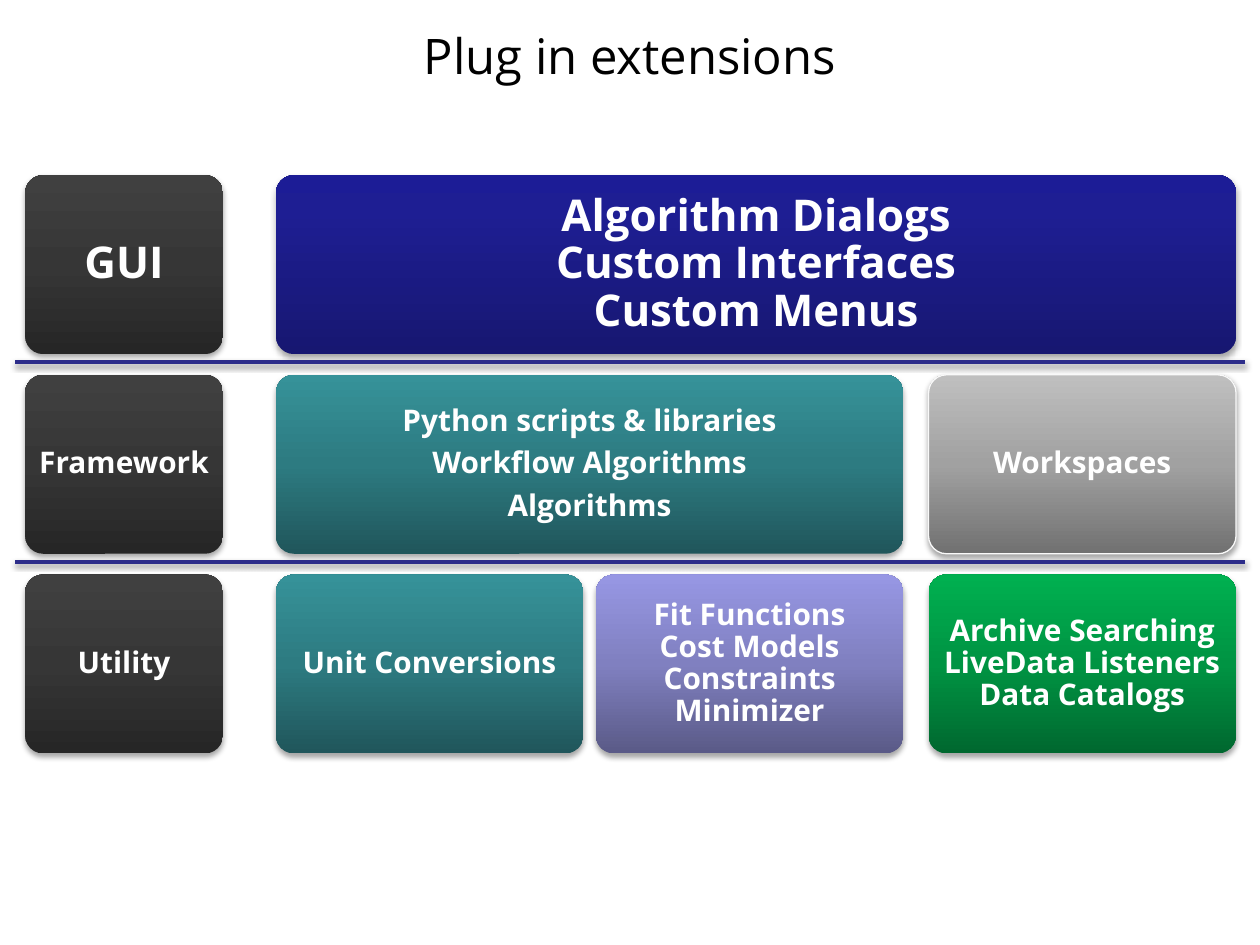
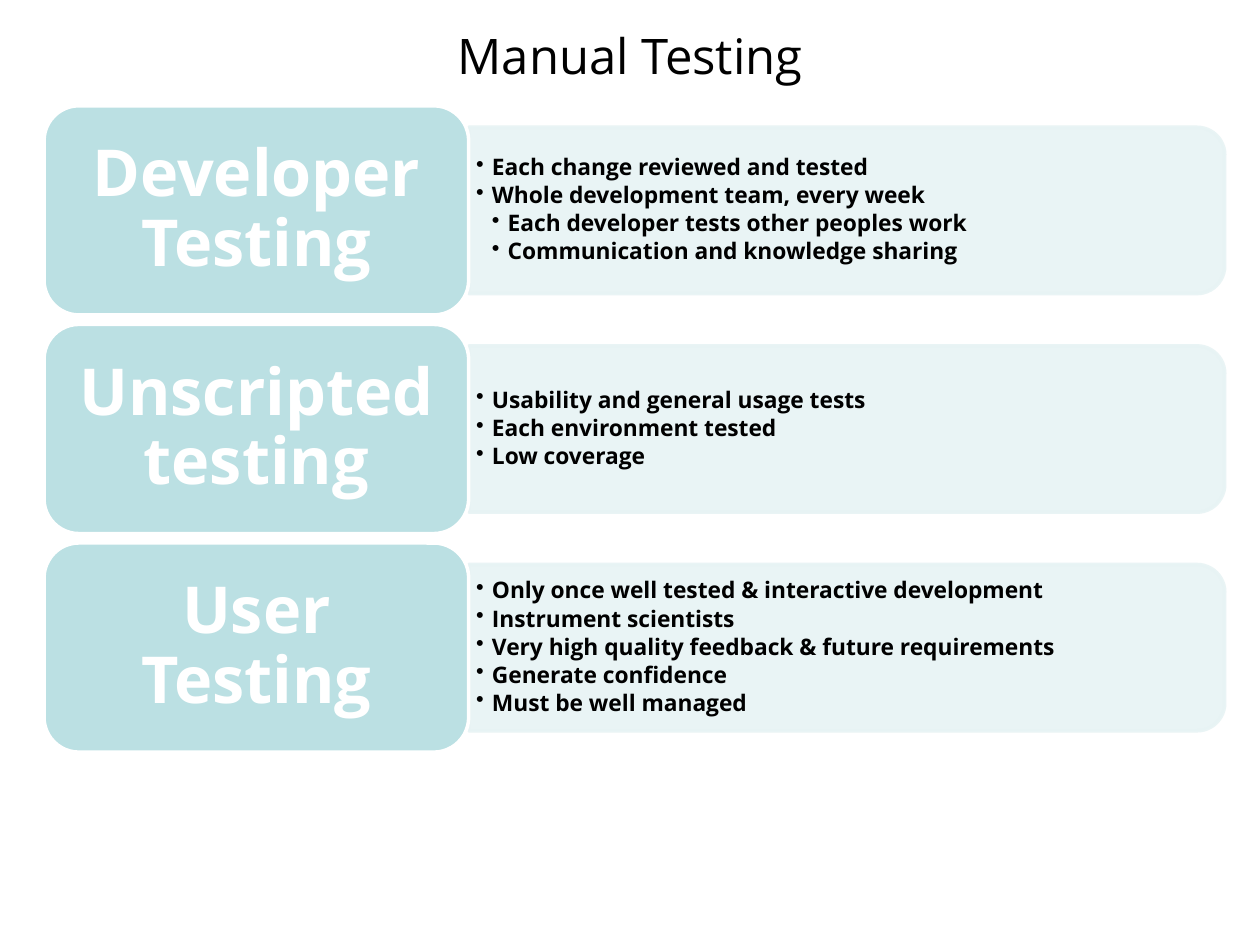
from copy import deepcopy
from dataclasses import dataclass
from typing import NamedTuple

from lxml import etree
from pptx import Presentation
from pptx import util as u
from pptx.dml.color import RGBColor
from pptx.enum import shapes, text
from pptx.oxml import parse_xml
from pptx.oxml.ns import nsdecls, qn


@dataclass(frozen=True)
class Theme:
    font: str = "Open Sans"
    ink: str = "000000"
    paper: str = "FFFFFF"
    rule: str = "2D2D8A"
    edge: str = "F9F9F9"
    label: str = "BBE0E3"
    panel: str = "E7F3F4"
    title: int = 28
    head: int = 25
    cell: int = 17
    topic: int = 37
    point: int = 13


class Grad(NamedTuple):
    """Colours from bottom to top, with the place of the middle one."""
    low: str
    mid: str
    high: str
    stop: int = 50


class Cell(NamedTuple):
    row: int
    first: int
    last: int
    paras: list[str]
    grad: Grad
    size: int = Theme.cell
    edge: str | None = None


class Topic(NamedTuple):
    name: str
    points: list[tuple[int, str]]


class Box(NamedTuple):
    left: float
    top: float
    width: float
    height: float

    def emu(self) -> list[int]:
        return [u.Inches(side) for side in self]


T = Theme()
WIDE, HIGH = 10, 7.5

DARK = Grad("262626", "363636", "404040")
NAVY = Grad("171771", "1E1E93", "1C1C96", 80)
TEAL = Grad("20565B", "2D7B81", "369299")
LILAC = Grad("5A5A87", "8080C0", "9797E4")
GREY = Grad("717171", "A1A1A1", "BFBFBF")
GREEN = Grad("00682F", "009443", "00B050")

# Grid of the layer diagram: a label column and three content columns
LEFTS = (0.2, 2.19, 4.73, 7.37)
WIDTHS = (1.57, 2.44, 2.44, 2.44)
TOP, STEP, TALL = 1.39, 1.585, 1.42
RULE_GAP, RULE_PAD = 0.1, 0.12

CELLS = [
    Cell(0, 0, 0, ["GUI"], DARK, T.head),
    Cell(1, 0, 0, ["Framework"], DARK),
    Cell(2, 0, 0, ["Utility"], DARK),
    Cell(0, 1, 3, ["Algorithm Dialogs\vCustom Interfaces\vCustom Menus"], NAVY, T.head),
    Cell(1, 1, 2, ["Python scripts & libraries", "Workflow Algorithms",
                   "Algorithms"], TEAL),
    Cell(2, 1, 1, ["Unit Conversions"], TEAL),
    Cell(2, 2, 2, ["Fit Functions\vCost Models\vConstraints\vMinimizer"], LILAC),
    Cell(1, 3, 3, ["Workspaces"], GREY, edge=T.edge),
    Cell(2, 3, 3, ["Archive Searching\vLiveData Listeners\vData Catalogs"], GREEN),
]

# Rows of the testing list
LABEL = Box(0.35, 0.84, 3.37, 1.66)
PANEL_W, PANEL_H = 6, 1.32
POINT_W, POINT_H = 5.93, 1.19
TOPIC_STEP = 1.735
INDENT = 0.125

TOPICS = [
    Topic("Developer Testing", [
        (1, "Each change reviewed and tested"),
        (1, "Whole development team, every week"),
        (2, "Each developer tests other peoples work"),
        (2, "Communication and knowledge sharing")]),
    Topic("Unscripted testing", [
        (1, "Usability and general usage tests"),
        (1, "Each environment tested"),
        (1, "Low coverage")]),
    Topic("User Testing", [
        (1, "Only once well tested & interactive development"),
        (1, "Instrument scientists"),
        (1, "Very high quality feedback & future requirements"),
        (1, "Generate confidence"),
        (1, "Must be well managed")]),
]


def rgb(code: str) -> RGBColor:
    return RGBColor.from_string(code)


def write(shape, paras: list[str], *, size: int, color: str = T.paper,
          bold: bool = True, align=text.PP_ALIGN.CENTER, line: float | None = 0.9,
          after: float = 0.35, pad: tuple[float, float] | None = None,
          levels: list[int] | None = None) -> None:
    """Fill a shape with paragraphs; levels turn them into bullets."""
    frame = shape.text_frame
    frame.word_wrap = True
    frame.vertical_anchor = text.MSO_ANCHOR.MIDDLE
    if pad:
        frame.margin_left = frame.margin_right = u.Inches(pad[0])
        frame.margin_top = frame.margin_bottom = u.Inches(pad[1])
    for i, words in enumerate(paras):
        para = frame.paragraphs[0] if i == 0 else frame.add_paragraph()
        para.text = words
        para.alignment = align
        para.line_spacing = line
        para.space_after = u.Pt(size * after)
        for run in para.runs:
            font = run.font
            font.name, font.size, font.bold = T.font, u.Pt(size), bold
            font.color.rgb = rgb(color)
        for brk in para._p.findall(qn("a:br")):
            brk.append(deepcopy(para.runs[0]._r.rPr))
        if levels:
            bullet(para, levels[i])


def bullet(para, level: int) -> None:
    para.level = level
    props = para._p.get_or_add_pPr()
    props.set("marL", str(u.Inches(INDENT * level)))
    props.set("indent", str(-u.Inches(INDENT)))
    etree.SubElement(props, qn("a:buChar"), char="•")


def blend(shape, grad: Grad) -> None:
    shape.fill.gradient()
    shape.fill.gradient_angle = 90
    stops = shape._element.spPr.find(".//" + qn("a:gsLst"))
    for old in list(stops):
        stops.remove(old)
    for place, code in zip((0, grad.stop, 100), grad[:3]):
        stop = etree.SubElement(stops, qn("a:gs"), pos=str(place * 1000))
        etree.SubElement(stop, qn("a:srgbClr"), val=code)


def shade(shape, alpha: int, dist: float) -> None:
    """Give a soft shadow straight below."""
    shape._element.spPr.append(parse_xml(
        f'<a:effectLst {nsdecls("a")}><a:outerShdw blurRad="{u.Pt(3.15)}" '
        f'dist="{u.Pt(dist)}" dir="5400000" rotWithShape="0">'
        f'<a:srgbClr val="000000"><a:alpha val="{alpha * 1000}"/></a:srgbClr>'
        '</a:outerShdw></a:effectLst>'))


def fade(shape, alpha: int) -> None:
    """Make the fill and line colours partly transparent."""
    for color in shape._element.spPr.iter(qn("a:srgbClr")):
        etree.SubElement(color, qn("a:alpha"), val=str(alpha * 1000))


def block(slide, kind, box: Box, *, fill: str | None = None,
          line: str | None = None, weight: float = 2):
    shape = slide.shapes.add_shape(kind, *box.emu())
    if fill:
        shape.fill.solid()
        shape.fill.fore_color.rgb = rgb(fill)
    if line:
        shape.line.color.rgb = rgb(line)
        shape.line.width = u.Pt(weight)
    else:
        shape.line.fill.background()
    return shape


def start(deck, title: str):
    """Add a slide with its title in place."""
    slide = deck.slides.add_slide(deck.slide_layouts[5])
    head = slide.shapes.title
    head.left, head.top, head.width, head.height = Box(
        WIDE * 0.05, -0.19, WIDE * 0.9, HIGH / 6).emu()
    write(head, [title], size=T.title, color=T.ink, bold=False, line=None, after=0)
    return slide


def draw_cell(slide, cell: Cell) -> None:
    left = LEFTS[cell.first]
    width = LEFTS[cell.last] + WIDTHS[cell.last] - left
    box = Box(left, TOP + STEP * cell.row, width, TALL)
    shape = block(slide, shapes.MSO_SHAPE.ROUNDED_RECTANGLE, box,
                  line=cell.edge, weight=0.75)
    shape.adjustments[0] = 0.1
    blend(shape, cell.grad)
    shade(shape, 35, 1.8)
    pad = 0.1 if cell.size == T.head else 0.07
    write(shape, cell.paras, size=cell.size, pad=(pad, pad))


def draw_rule(slide, row: int) -> None:
    y = u.Inches(TOP + STEP * row - RULE_GAP)
    rule = slide.shapes.add_connector(
        shapes.MSO_CONNECTOR.STRAIGHT, u.Inches(RULE_PAD), y,
        u.Inches(WIDE - RULE_PAD), y)
    rule.line.color.rgb = rgb(T.rule)
    rule.line.width = u.Pt(2)
    shade(rule, 38, 1.6)


def draw_topic(slide, row: int, topic: Topic) -> None:
    box = LABEL._replace(top=LABEL.top + TOPIC_STEP * row)
    edge, mid = box.left + box.width, box.top + box.height / 2

    # The panel is a tall shape turned a quarter, so its sides swap
    panel = block(slide, shapes.MSO_SHAPE.ROUND_2_SAME_RECTANGLE,
                  Box(edge + (PANEL_W - PANEL_H) / 2, mid - PANEL_W / 2,
                      PANEL_H, PANEL_W), fill=T.panel, line=T.panel)
    panel.rotation = 90
    fade(panel, 90)
    panel.shadow.inherit = False

    area = Box(edge + 0.01, mid - POINT_H / 2, POINT_W, POINT_H)
    levels, points = zip(*topic.points)
    write(slide.shapes.add_textbox(*area.emu()), points, size=T.point,
          color=T.ink, align=text.PP_ALIGN.LEFT, after=0.15,
          pad=(0.05, 0.03), levels=levels)

    label = block(slide, shapes.MSO_SHAPE.ROUNDED_RECTANGLE, box,
                  fill=T.label, line=T.paper)
    label.shadow.inherit = False
    write(label, [topic.name], size=T.topic, pad=(0.15, 0.08))


def main() -> None:
    deck = Presentation()
    deck.slide_width, deck.slide_height = u.Inches(WIDE), u.Inches(HIGH)

    layers = start(deck, "Plug in extensions")
    for cell in CELLS:
        draw_cell(layers, cell)
    for row in (2, 1):
        draw_rule(layers, row)

    tests = start(deck, "Manual Testing")
    for row, topic in enumerate(TOPICS):
        draw_topic(tests, row, topic)

    deck.save("out.pptx")


if __name__ == "__main__":
    main()
